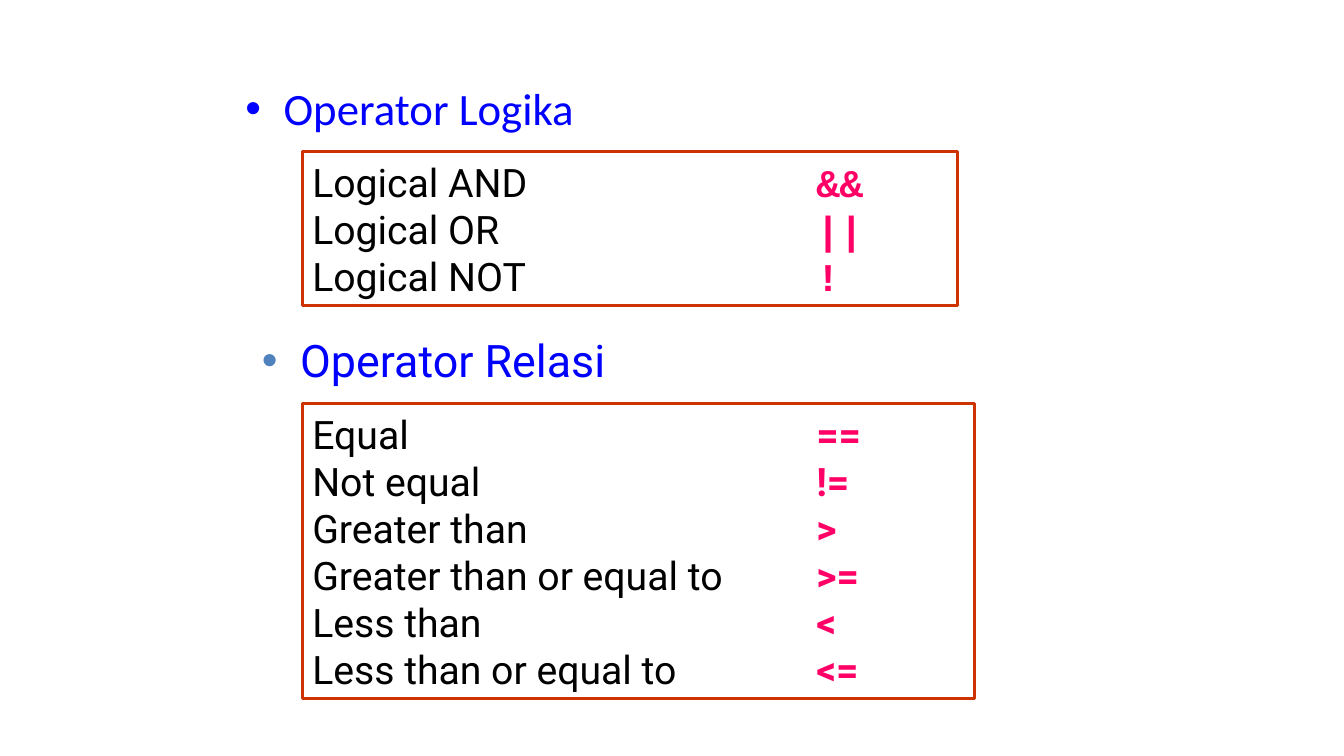
"""Build a slide that lists logical and relational operators."""
from lxml import etree
from pptx import Presentation
from pptx.dml.color import RGBColor
from pptx.enum.shapes import MSO_SHAPE
from pptx.enum.text import MSO_ANCHOR, MSO_AUTO_SIZE, PP_ALIGN
from pptx.oxml.ns import qn
from pptx.util import Emu, Inches, Pt

RECT = MSO_SHAPE.RECTANGLE
TOP = MSO_ANCHOR.TOP
MIDDLE = MSO_ANCHOR.MIDDLE
FIXED = MSO_AUTO_SIZE.NONE
LEFT = PP_ALIGN.LEFT
JUST = PP_ALIGN.JUSTIFY
UNIT = Inches(1) // 12
COLS, ROWS = 160, 90
TAB = 60 * UNIT
INDENT = Inches(0.38)
COLORS = {"head": "0000FF", "dot": "4F81BD", "text": "000000",
          "sign": "FF0066", "frame": "CC3300"}
LOGIC = [("Logical AND", "&&"), ("Logical OR", "||"), ("Logical NOT", "!")]
RELATE = [("Equal", "=="), ("Not equal", "!="), ("Greater than", ">"),
          ("Greater than or equal to", ">="), ("Less than", "<"),
          ("Less than or equal to", "<=")]


def color(name):
    """Return the named colour."""
    return RGBColor.from_string(COLORS[name])


def grid(*cells):
    """Turn grid cells into lengths."""
    return [Emu(round(cell * UNIT)) for cell in cells]


def write(para, text, size=28, font="Roboto", hue="text", bold=False):
    """Add a formatted run to a paragraph."""
    run = para.add_run()
    run.text = text
    run.font.size = Pt(size)
    run.font.name = font
    run.font.bold = bold
    run.font.color.rgb = color(hue)


def setup(frame, anchor):
    """Fix the size, wrap and anchor of a text frame."""
    frame.word_wrap = True
    frame.auto_size = FIXED
    frame.vertical_anchor = anchor


def bullet(para, hue):
    """Give a paragraph a coloured round bullet."""
    props = para._p.get_or_add_pPr()
    props.set("marL", str(INDENT))
    props.set("indent", str(-INDENT))
    tint = etree.SubElement(props, qn("a:buClr"))
    etree.SubElement(tint, qn("a:srgbClr"), val=COLORS[hue])
    etree.SubElement(props, qn("a:buFont"), typeface="Arial")
    etree.SubElement(props, qn("a:buChar"), char="•")


def heading(shape, text, font, dot):
    """Fill a shape with a bulleted heading."""
    setup(shape.text_frame, TOP)
    para = shape.text_frame.paragraphs[0]
    bullet(para, dot)
    para.alignment = LEFT
    para.space_before = Pt(0)
    write(para, text, size=32, font=font, hue="head")


def listing(slide, cells, pairs, font):
    """Draw a framed list of names and their operators."""
    box = slide.shapes.add_shape(RECT, *grid(*cells))
    box.shadow.inherit = False
    box.fill.background()
    box.line.color.rgb = color("frame")
    box.line.width = Pt(2.25)
    frame = box.text_frame
    setup(frame, MIDDLE)
    for index, (name, sign) in enumerate(pairs):
        para = frame.add_paragraph() if index else frame.paragraphs[0]
        tabs = etree.SubElement(para._p.get_or_add_pPr(), qn("a:tabLst"))
        etree.SubElement(tabs, qn("a:tab"), pos=str(TAB), algn="l")
        para.alignment = JUST
        write(para, name + "\t")
        write(para, sign, font=font, hue="sign", bold=True)


def main():
    """Build and save the slide."""
    deck = Presentation()
    deck.slide_width, deck.slide_height = grid(COLS, ROWS)
    slide = deck.slides.add_slide(deck.slide_layouts[1])
    title, body = slide.placeholders
    title.element.getparent().remove(title.element)
    body.left, body.top, body.width, body.height = grid(28, 9, 102, 8)
    heading(body, "Operator Logika", "Calibri", "head")
    listing(slide, (36, 18, 78, 18.4), LOGIC, "Courier New")
    label = slide.shapes.add_textbox(*grid(30, 39, 102, 8))
    heading(label, "Operator Relasi", "Roboto", "dot")
    listing(slide, (36, 48, 80, 35.2), RELATE, "Roboto")
    deck.save("out.pptx")


if __name__ == "__main__":
    main()
